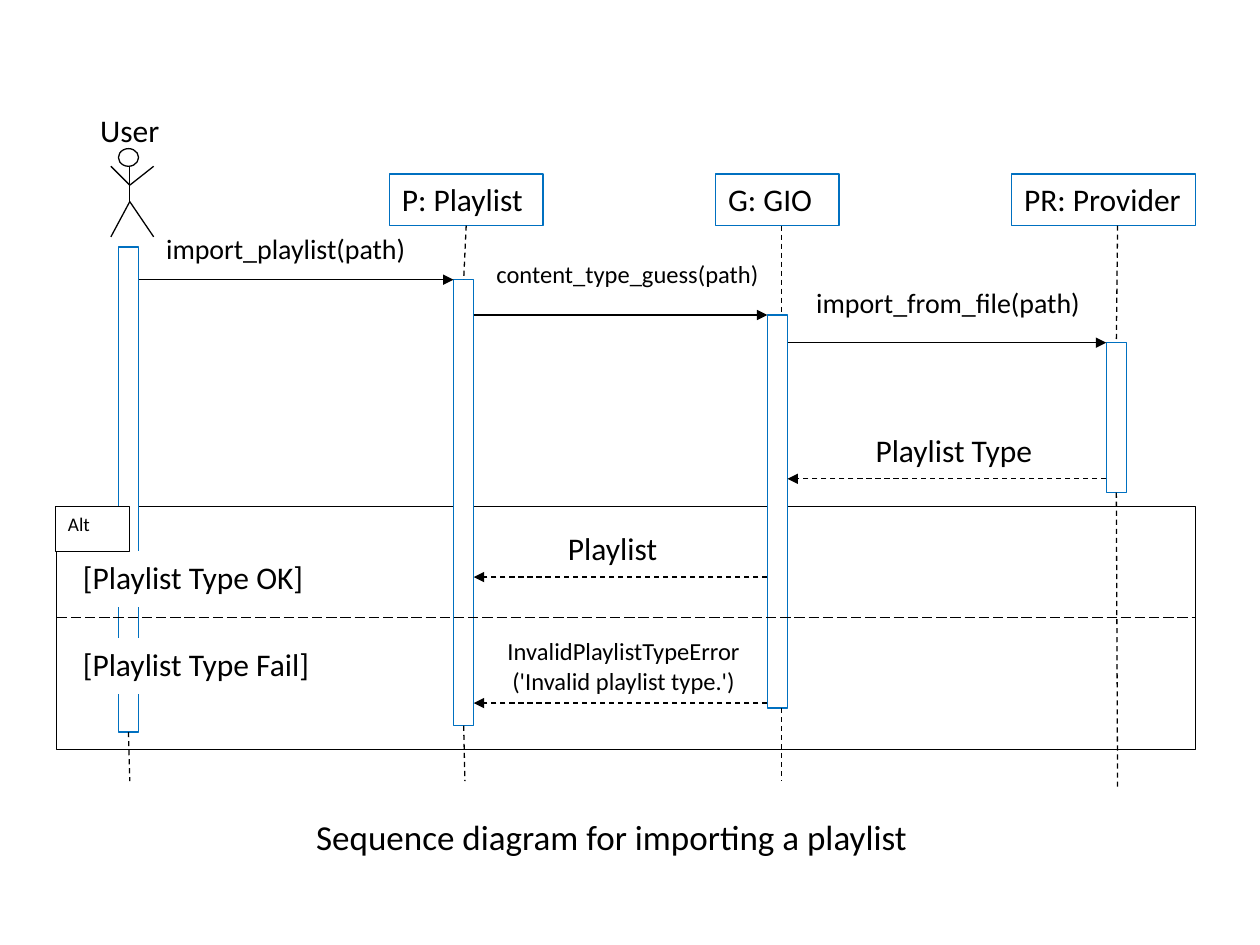
from lxml import etree
from pptx import Presentation
from pptx import util as u
from pptx.dml.color import RGBColor
from pptx.enum import dml, shapes, text
from pptx.oxml.ns import qn

BLACK = RGBColor(0x00, 0x00, 0x00)
WHITE = RGBColor(0xFF, 0xFF, 0xFF)
BLUE = RGBColor(0x00, 0x70, 0xC0)
DASH = dml.MSO_LINE.DASH
LONG_DASH = dml.MSO_LINE.LONG_DASH
LEFT, CENTER = text.PP_ALIGN.LEFT, text.PP_ALIGN.CENTER
TOP_SIDE, BOTTOM_SIDE = 0, 2
COLUMNS, ROWS = 100, 75


class SequenceDiagram:
    """Style and current slide; lengths are columns and rows of the grid."""

    def __init__(self, presentation):
        self.column = presentation.slide_width / COLUMNS
        self.row = presentation.slide_height / ROWS
        self.slide = presentation.slides.add_slide(presentation.slide_layouts[5])
        self.shapes = self.slide.shapes
        self.font = {"name": "Calibri", "bold": False}
        self.frame = {
            "word_wrap": True,
            "auto_size": text.MSO_AUTO_SIZE.NONE,
            "vertical_anchor": text.MSO_ANCHOR.TOP,
            "margin_left": u.Inches(0.1), "margin_right": u.Inches(0.1),
            "margin_top": u.Inches(0.05), "margin_bottom": u.Inches(0.05),
        }

    def x(self, columns):
        return u.Emu(round(columns * self.column))

    def y(self, rows):
        return u.Emu(round(rows * self.row))

    def paint(self, shape, line_color):
        shape.fill.solid()
        shape.fill.fore_color.rgb = WHITE
        shape.line.color.rgb = line_color
        shape.line.width = u.Pt(0.75)

    def set_text(self, shape, words, size, align, space_after=10):
        frame = shape.text_frame
        for name, value in self.frame.items():
            setattr(frame, name, value)
        frame.text = words
        for paragraph in frame.paragraphs:
            paragraph.alignment = align
            paragraph.space_after = u.Pt(space_after)
            for name, value in self.font.items():
                setattr(paragraph.font, name, value)
            paragraph.font.size = u.Pt(size)
            paragraph.font.color.rgb = BLACK

    def title(self, words, left, top, width, height):
        shape = self.shapes.title
        shape.left, shape.top = self.x(left), self.y(top)
        shape.width, shape.height = self.x(width), self.y(height)
        self.paint(shape, WHITE)
        self.set_text(shape, words, 20, CENTER)

    def box(self, left, top, width, height, line_color=BLUE,
            kind=shapes.MSO_SHAPE.RECTANGLE):
        shape = self.shapes.add_shape(
            kind, self.x(left), self.y(top), self.x(width), self.y(height))
        shape.shadow.inherit = False
        self.paint(shape, line_color)
        return shape

    def label(self, words, left, top, width, height=4.3, size=18, align=LEFT,
              line_color=WHITE, space_after=10):
        shape = self.box(left, top, width, height, line_color)
        self.set_text(shape, words, size, align, space_after)
        return shape

    def line(self, x1, y1, x2, y2, dash=None, arrow=False):
        connector = self.shapes.add_connector(
            shapes.MSO_CONNECTOR.STRAIGHT,
            self.x(x1), self.y(y1), self.x(x2), self.y(y2))
        connector.line.color.rgb = BLACK
        connector.line.width = u.Pt(0.75)
        if dash:
            connector.line.dash_style = dash
        properties = connector._element.spPr
        if arrow:
            tail = etree.SubElement(properties.find(qn("a:ln")), qn("a:tailEnd"))
            tail.set("type", "triangle")
        etree.SubElement(properties, qn("a:effectLst"))
        return connector

    def actor(self, name):
        slide_shapes = self.shapes
        self.shapes = slide_shapes.add_group_shape().shapes
        self.label(name, 6.6, 8.3, 7.4, 3.5, align=CENTER)
        middle, left, right = 10.3, 8.8, 12.2
        neck, arms, hips, feet = 13.2, 14.7, 16, 18.8
        self.line(middle, neck, middle, hips)
        for side in (left, right):
            self.line(middle, hips, side, feet)
            self.line(side, neck, middle, arms)
        self.box(9.4, 11.8, 1.6, 1.4, BLACK, shapes.MSO_SHAPE.OVAL)
        self.shapes = slide_shapes

    def participant(self, head, bar, lifeline, joined):
        """Head box, activation bar and the dashed lifeline above and below it."""
        bar_left, bar_top, bar_height = bar
        x, bottom = lifeline
        bar_shape = self.box(bar_left, bar_top, 1.6, bar_height)
        below = self.line(x, bar_top + bar_height, x, bottom, DASH)
        if joined:
            below.begin_connect(bar_shape, BOTTOM_SIDE)
        if head:
            name, left, width = head
            head_shape = self.label(name, left, 13.8, width, 4.1, line_color=BLUE)
            above = self.line(x, 17.9, x, bar_top, DASH)
            if joined:
                above.end_connect(bar_shape, TOP_SIDE)
            if abs(left + width / 2 - x) < 0.2:
                above.begin_connect(head_shape, BOTTOM_SIDE)


def main():
    presentation = Presentation()
    presentation.slide_width, presentation.slide_height = u.Inches(10), u.Inches(7.5)
    diagram = SequenceDiagram(presentation)

    # Caption and frame of the alternatives
    diagram.title("Sequence diagram for importing a playlist", 17.5, 64.2, 62.1, 6.6)
    diagram.box(4.5, 40.2, 90.4, 19.3, BLACK)

    # Message labels
    diagram.label("content_type_guess(path)", 36.9, 20.1, 25.8, size=14, align=CENTER)
    diagram.label("Playlist", 44.1, 41.5, 9.7)
    diagram.label("InvalidPlaylistTypeError\n('Invalid playlist type.')",
                  36.7, 50, 25.6, 5.2, size=14, align=CENTER, space_after=0)
    diagram.label("Playlist Type", 68.5, 33.7, 14.9)
    diagram.label("import_playlist(path)", 12.2, 17.9, 22.9, size=16)
    diagram.label("import_from_file(path)", 63.8, 22.2, 24, size=16)

    # Actor and participants: head, bar (left, top, height), lifeline (x, bottom)
    diagram.actor("User")
    for participant in (
        (None, (9.4, 19.6, 38.5), (10.3, 62), True),
        (("P: Playlist", 30.9, 12.2), (36, 22.2, 35.4), (36.9, 62), True),
        (("G: GIO", 56.8, 9.8), (60.9, 25, 31.2), (62, 62), False),
        (("PR: Provider", 80.3, 14.6), (87.8, 27.2, 11.9), (88.7, 62.5), True),
    ):
        diagram.participant(*participant)

    # Calls and dashed replies
    for start, end, y, dash in (
        (11, 36, 22.2, None), (37.6, 60.9, 25, None), (62.5, 87.8, 27.2, None),
        (87.8, 62.5, 38, DASH), (60.9, 37.6, 45.8, DASH), (60.9, 37.6, 55.8, DASH),
    ):
        diagram.line(start, y, end, y, dash, arrow=True)

    # Alternatives: divider, conditions and tab
    diagram.line(4.5, 49, 94.9, 49, LONG_DASH)
    diagram.label("[Playlist Type OK]", 5.6, 43.8, 19.8)
    diagram.label("[Playlist Type Fail]", 5.6, 50.7, 20.4)
    diagram.label("Alt", 4.4, 40.2, 5.9, 3.6, size=11, line_color=BLACK)

    presentation.save("out.pptx")


if __name__ == "__main__":
    main()
